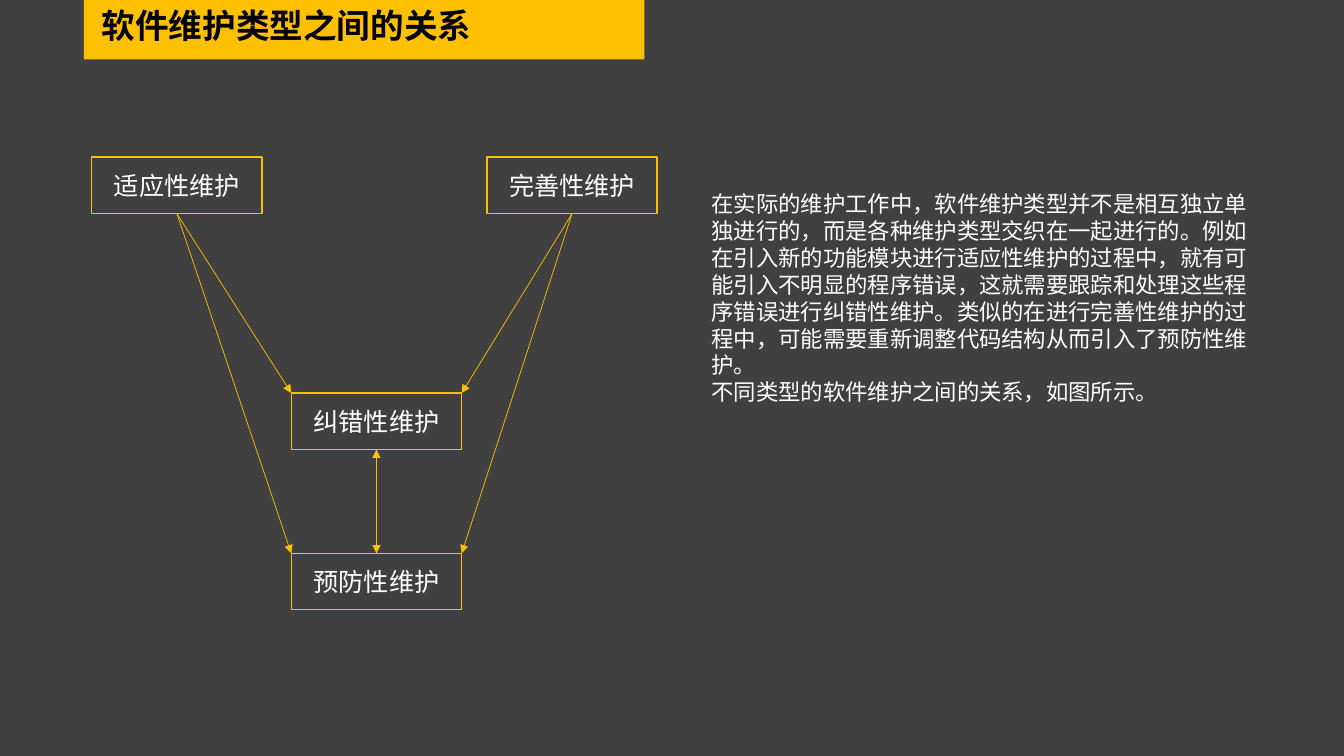
import pptx
import pptx.util
import pptx.dml.color
import pptx.enum.shapes
import pptx.enum.text
import pptx.oxml.ns
from lxml import etree

RGB = pptx.dml.color.RGBColor
GOLD = RGB(0xFF, 0xC0, 0x00)
GREY = RGB(0x40, 0x40, 0x40)
WHITE = RGB(0xFF, 0xFF, 0xFF)
BLACK = RGB(0x00, 0x00, 0x00)
FONT = "League Spartan"
WIDE = pptx.util.Inches(13.33)
HIGH = pptx.util.Inches(7.5)
COL = WIDE / 160
ROW = HIGH / 90
BOX_W, BOX_H = 20.28, 6.72

TITLE = "软件维护类型之间的关系"
BODY = [
    "在实际的维护工作中，软件维护类型并不是相互独立单",
    "独进行的，而是各种维护类型交织在一起进行的。例如在引入新的功能模块"
    "进行适应性维护的过程中，就有可能引入不明显的程序错误，这就需要跟踪和"
    "处理这些程序错误进行纠错性维护。类似的在进行完善性维护的过程中，可能"
    "需要重新调整代码结构从而引入了预防性维护。",
    "不同类型的软件维护之间的关系，如图所示。",
]


def place(col, row, wide, high):
    return [round(n) for n in (col * COL, row * ROW, wide * COL, high * ROW)]


def style(para, size, color, bold=False):
    font = para.font
    font.name = FONT
    font.size = pptx.util.Pt(size)
    font.bold = bold
    font.color.rgb = color


def add_rect(slide, area):
    kind = pptx.enum.shapes.MSO_SHAPE.RECTANGLE
    rect = slide.shapes.add_shape(kind, *place(*area))
    rect.shadow.inherit = False
    return rect


def add_bar(slide, area):
    bar = add_rect(slide, area)
    bar.fill.solid()
    bar.fill.fore_color.rgb = GOLD
    bar.line.fill.background()


def add_box(slide, label, col, row):
    box = add_rect(slide, (col, row, BOX_W, BOX_H))
    box.fill.background()
    box.line.color.rgb = GOLD
    box.line.width = pptx.util.Pt(1)
    frame = box.text_frame
    frame.vertical_anchor = pptx.enum.text.MSO_ANCHOR.MIDDLE
    para = frame.paragraphs[0]
    para.text = label
    para.alignment = pptx.enum.text.PP_ALIGN.CENTER
    style(para, 18, WHITE)
    return box


def add_text(slide, area, lines, size, color, bold=False):
    frame = slide.shapes.add_textbox(*place(*area)).text_frame
    frame.word_wrap = True
    frame.text = "\n".join(lines)
    for para in frame.paragraphs:
        style(para, size, color, bold)
    return frame


def add_arrow(slide, start, end, ends=("tailEnd",)):
    kind = pptx.enum.shapes.MSO_CONNECTOR.STRAIGHT
    arrow = slide.shapes.add_connector(kind, *start, *end)
    arrow.line.color.rgb = GOLD
    arrow.line.width = pptx.util.Pt(0.5)
    name = pptx.oxml.ns.qn
    for tag in ends:
        etree.SubElement(arrow.line._get_or_add_ln(), name("a:" + tag), type="triangle")
    etree.SubElement(arrow._element.spPr, name("a:effectLst"))
    return arrow


def base(box):
    return box.left + box.width // 2, box.top + box.height


def main():
    deck = pptx.Presentation()
    deck.slide_width = WIDE
    deck.slide_height = HIGH
    slide = deck.slides.add_slide(deck.slide_layouts[6])
    slide.background.fill.solid()
    slide.background.fill.fore_color.rgb = GREY

    add_bar(slide, (10, 0, 66.7, 7.08))
    title = add_text(slide, (10.92, 0.48, 54.84, 6), [TITLE], 24, BLACK, True)
    title.paragraphs[0].line_spacing = 0.9

    adapt = add_box(slide, "适应性维护", 10.92, 18.72)
    perfect = add_box(slide, "完善性维护", 57.96, 18.72)
    correct = add_box(slide, "纠错性维护", 34.68, 46.8)
    prevent = add_box(slide, "预防性维护", 34.68, 65.88)

    for cause, side in ((adapt, 0), (perfect, 1)):
        for goal in (correct, prevent):
            corner = goal.left + side * goal.width, goal.top
            arrow = add_arrow(slide, base(cause), corner)
            arrow.begin_connect(cause, 2)

    top = prevent.left + prevent.width // 2, prevent.top
    link = add_arrow(slide, base(correct), top, ("headEnd", "tailEnd"))
    link.begin_connect(correct, 2)
    link.end_connect(prevent, 0)

    add_text(slide, (83.52, 22.08, 66.6, 27.12), BODY, 16, WHITE)
    deck.save("out.pptx")


if __name__ == "__main__":
    main()
